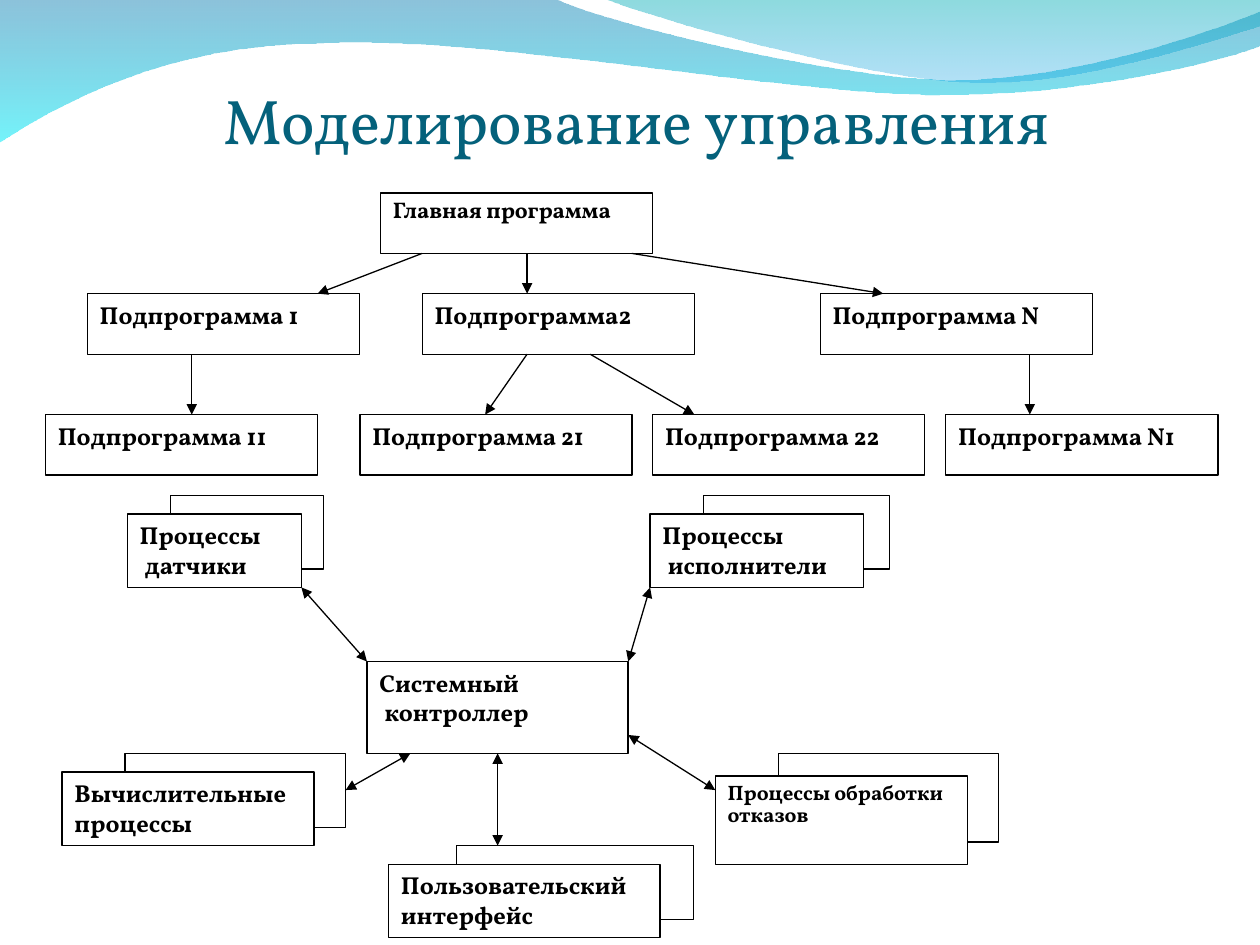
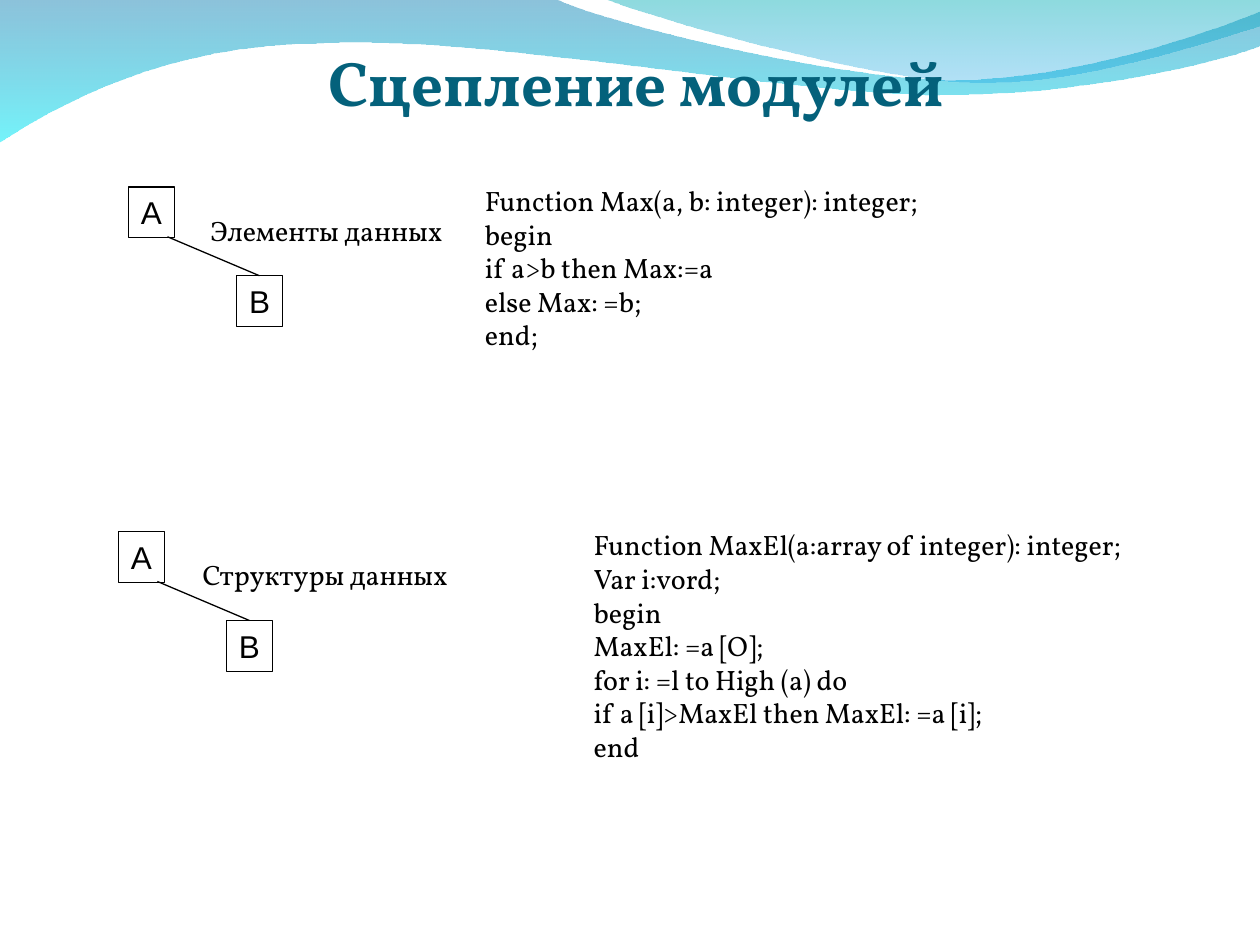
from lxml import etree
from pptx import Presentation
from pptx.dml.color import RGBColor
from pptx.enum.shapes import MSO_CONNECTOR as Connector, MSO_SHAPE as Shape
from pptx.enum.text import MSO_ANCHOR as Anchor, PP_ALIGN as Align
from pptx.oxml.ns import qn
from pptx.util import Pt

COLORS = {
    "title": "04617B", "ink": "000000", "paper": "FFFFFF",
    "steel": "0079AF", "cyan": "00EBF8", "teal": "00ADB6", "azure": "009BE5",
}
SERIF, SANS = "Vollkorn", "Arial"
LINE_WIDTH = Pt(0.75)
NODE_W, NODE_H = 155.5, 34.6
TREE_ROWS = (110.2, 167.8, 236.9)

LOWER_WAVE = [
    [(317, -1)],
    [(343, 12), (478, 45.5), (546, 45.5)],
    [(614, 45.5), (690, 18.5), (720, 6.5)],
    [(720.5, 26)],
    [(708, 31.5), (626, 54.5), (537, 54)],
    [(448, 54), (275, 20), (185, 24.5)],
    [(93, 25), (33, 60), (-1, 81.5)],
]
UPPER_WAVE = [
    [(366.5, 8), (491, 44.5), (554, 47)],
    [(616, 49.5), (692, 23), (720, 15)],
    [(720, 0)],
]

TREE_NODES = [
    ("Главная программа", 217.5, 0),
    ("Подпрограмма 1", 49.9, 1),
    ("Подпрограмма2", 241.3, 1),
    ("Подпрограмма N", 468.7, 1),
    ("Подпрограмма 11", 26, 2),
    ("Подпрограмма 21", 205.7, 2),
    ("Подпрограмма 22", 373, 2),
    ("Подпрограмма N1", 540.5, 2),
]
TREE_ARROWS = [
    (0, 241.25, 181.5), (0, 301.2, 301.2), (0, 361, 504.75),
    (1, 109.6, 109.6), (1, 301.2, 277.25), (1, 337.25, 396.75), (1, 588.5, 588.5),
]
PROCESSES = [
    ("Процессы\nдатчики", (72.75, 293.7, 99.5, 42), (97.5, 283, 87.25, 42.25), 14),
    ("Процессы\nисполнители", (371.5, 293.7, 122, 42), (402, 283, 106.25, 42.25), 14),
    ("Вычислительные процессы", (35.5, 441.25, 144, 42), (71.5, 430.5, 126, 42.25), 14),
    ("Пользовательский интерфейс", (222, 493.9, 155.2, 42), (261, 483.25, 135.25, 42.25), 14),
    ("Процессы обработки отказов", (408.75, 443.4, 144, 50.5), (445, 430.6, 125.75, 50.5), 11.9),
]
CONTROLLER_LINKS = [
    ((172.25, 335.7), (209.7, 378)),
    ((371.5, 335.7), (359, 378)),
    ((234.5, 430.5), (197.5, 451.5)),
    ((284.4, 430.5), (284.4, 483.25)),
    ((359, 420), (408.75, 451.5)),
]

MAX_CODE = """Function Max(a, b: integer): integer;
begin
if a>b then Max:=a
else Max: =b;
end;"""
MAX_ELEMENT_CODE = """Function MaxEl(a:array of integer): integer;
Var i:vord;
begin
MaxEl: =a [O];
for i: =l to High (a) do
if a [i]>MaxEl then MaxEl: =a [i];
end"""


def color(name):
    return RGBColor.from_string(COLORS[name])


def points(values):
    return [Pt(value) for value in values]


def write(frame, text, size, font=SERIF, bold=False, ink="ink", align=Align.LEFT,
          anchor=Anchor.TOP, spacing=None, wrap=True):
    frame.text = text
    frame.word_wrap = wrap
    frame.vertical_anchor = anchor
    for paragraph in frame.paragraphs:
        paragraph.alignment = align
        paragraph.line_spacing = spacing
        for run in paragraph.runs:
            run.font.name = font
            run.font.size = Pt(size)
            run.font.bold = bold
            run.font.color.rgb = color(ink)


def indent_second_line(frame):
    for paragraph in frame.paragraphs[1:]:
        paragraph._p.get_or_add_pPr().set("marL", str(Pt(3)))


def add_box(slide, bounds, filled=True):
    box = slide.shapes.add_shape(Shape.RECTANGLE, *points(bounds))
    box.shadow.inherit = False
    if filled:
        box.fill.solid()
        box.fill.fore_color.rgb = color("paper")
    else:
        box.fill.background()
    box.line.color.rgb = color("ink")
    box.line.width = LINE_WIDTH
    return box


def add_block(slide, text, bounds, size=14, spacing=None):
    block = add_box(slide, bounds)
    write(block.text_frame, text, size, bold=True, spacing=spacing)
    indent_second_line(block.text_frame)


def add_link(slide, start, end, arrowheads=()):
    link = slide.shapes.add_connector(Connector.STRAIGHT, *points(start + end))
    link.line.color.rgb = color("ink")
    link.line.width = LINE_WIDTH
    for arrowhead in arrowheads:
        etree.SubElement(link.line._get_or_add_ln(), qn(f"a:{arrowhead}"), type="triangle")
    etree.SubElement(link.element.spPr, qn("a:effectLst"))


def add_text(slide, text, bounds, wrap=False):
    label = slide.shapes.add_textbox(*points(bounds))
    write(label.text_frame, text, 16, wrap=wrap)


def bend(wave, segments):
    outline = next(wave.element.iter(qn("a:path")))
    edges = iter(outline.findall(qn("a:lnTo")))
    for segment in segments:
        steps = [next(edges) for _ in segment]
        if len(steps) == 3:
            curve = etree.Element(qn("a:cubicBezTo"))
            steps[0].addprevious(curve)
            for step in steps:
                curve.append(step[0])
                outline.remove(step)


def add_wave(slide, master, start, segments, stops, layer):
    builder = slide.shapes.build_freeform(*points(start))
    builder.add_line_segments([points(point) for segment in segments for point in segment])
    wave = builder.convert_to_shape()
    bend(wave, segments)
    wave.shadow.inherit = False
    wave.line.fill.background()
    wave.fill.gradient()
    wave.fill.gradient_angle = 270
    for stop, (name, opacity) in zip(wave.fill.gradient_stops, stops):
        stop.color.rgb = color(name)
    for tint, (name, opacity) in zip(wave.element.iter(qn("a:srgbClr")), stops):
        etree.SubElement(tint, qn("a:alpha"), val=str(opacity * 1000))
    master.shapes.element.insert(2 + layer, wave.element)


def add_waves(slide, master):
    add_wave(slide, master, (-1, -1), LOWER_WAVE, [("steel", 45), ("cyan", 55)], 0)
    add_wave(slide, master, (345, -1), UPPER_WAVE, [("teal", 45), ("azure", 30)], 1)


def set_title(slide, text, bounds, bold=False):
    title = slide.shapes.title
    title.left, title.top, title.width, title.height = points(bounds)
    frame = title.text_frame
    frame.margin_left = frame.margin_right = frame.margin_bottom = 0
    frame.margin_top = Pt(3.6)
    write(frame, text, 36, bold=bold, ink="title", align=Align.CENTER, anchor=Anchor.BOTTOM)


def add_call_tree(slide):
    for text, left, row in TREE_NODES:
        size, spacing = (14, None) if row else (12.9, 0.9)
        add_block(slide, text, (left, TREE_ROWS[row], NODE_W, NODE_H), size, spacing)
    for row, start_x, end_x in TREE_ARROWS:
        add_link(slide, (start_x, TREE_ROWS[row] + NODE_H), (end_x, TREE_ROWS[row + 1]), ["tailEnd"])


def add_controller(slide):
    for text, front, back, size in PROCESSES:
        add_box(slide, back, filled=False)
        add_block(slide, text, front, size, None if size == 14 else 0.9)
    add_block(slide, "Системный\nконтроллер", (209.7, 378, 149.2, 52.5))
    for start, end in CONTROLLER_LINKS:
        add_link(slide, start, end, ["headEnd", "tailEnd"])


def add_coupling(slide, left, top, data_kind, label_left):
    for module, dx, dy in (("А", 0, 0), ("В", 61.75, 50.75)):
        node = add_box(slide, (left + dx, top + dy, 26.25, 29), filled=False)
        write(node.text_frame, module, 18, font=SANS, wrap=False)
    add_link(slide, (left + 22.25, top + 28.5), (left + 74.75, top + 50.75))
    add_text(slide, data_kind, (label_left, top + 11.5, 166, 26.5))


def main():
    deck = Presentation()
    deck.slide_width, deck.slide_height = Pt(720), Pt(540)
    title_only = deck.slide_layouts[5]

    control = deck.slides.add_slide(title_only)
    add_waves(control, deck.slide_master)
    set_title(control, "Моделирование управления", (30.2, 0, 667, 90))
    add_call_tree(control)
    add_controller(control)

    coupling = deck.slides.add_slide(title_only)
    set_title(coupling, "Сцепление модулей", (39.5, 28, 648, 40), bold=True)
    add_coupling(coupling, 73.5, 106.8, "Элементы данных", 113.2)
    add_coupling(coupling, 67.7, 303.8, "Структуры данных", 108.7)
    add_text(coupling, MAX_CODE, (270, 101.4, 325, 104), wrap=True)
    add_text(coupling, MAX_ELEMENT_CODE, (332.2, 298.2, 346, 161))

    deck.save("out.pptx")


if __name__ == "__main__":
    main()
